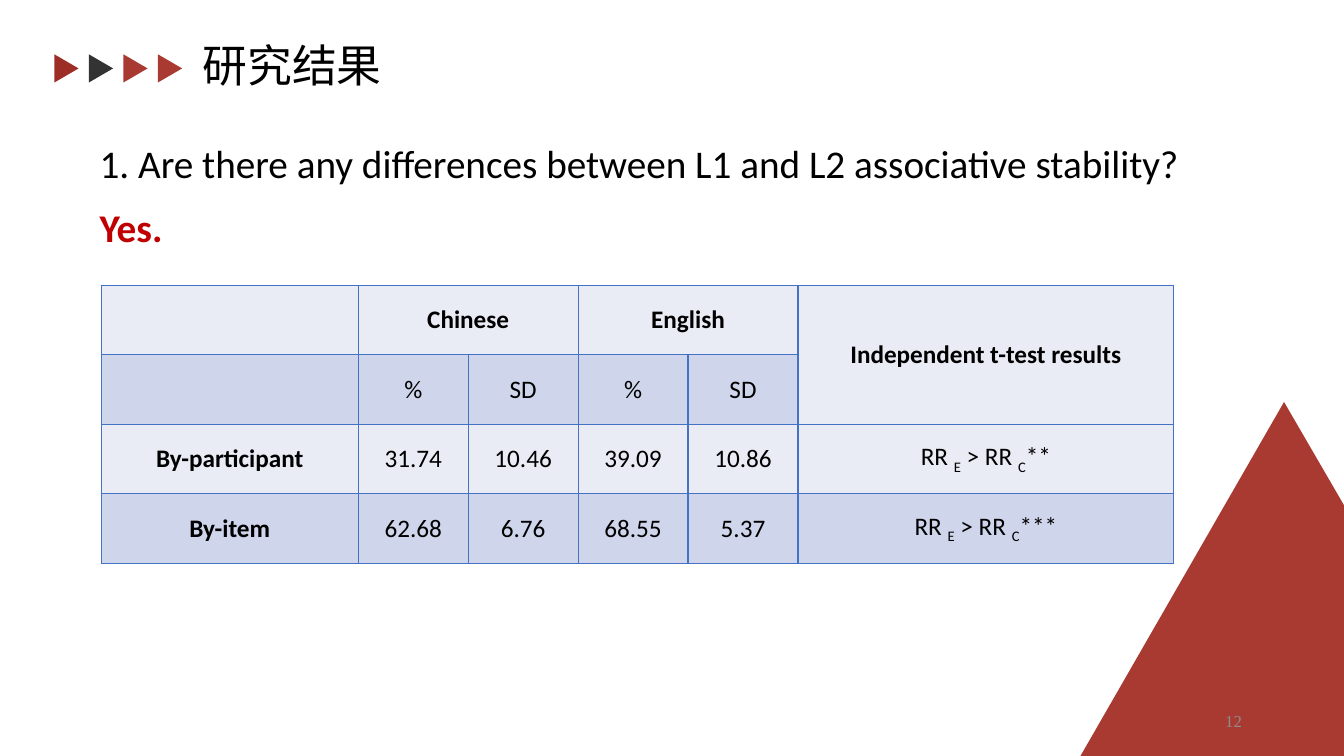
from dataclasses import dataclass

from pptx import Presentation
from pptx import util as u
from pptx.dml.color import RGBColor
from pptx.enum import shapes, text
from pptx.oxml import parse_xml
from pptx.oxml.ns import nsdecls, qn


@dataclass(frozen=True)
class Theme:
    red: str = "A93A32"
    deep_red: str = "9D2E25"
    charcoal: str = "333333"
    ink: str = "000000"
    answer: str = "C00000"
    muted: str = "8C8C8C"
    border: str = "4472C4"
    bands: tuple = ("E9EBF5", "CFD5EA")
    title_font: str = "Noto Sans CJK SC"
    body_font: str = "Calibri"
    number_font: str = "Times New Roman"
    title_size: int = 32
    body_size: int = 28
    table_size: int = 18
    number_size: int = 12


class SlideBuilder:
    def __init__(self, slide, theme):
        self.slide = slide
        self.theme = theme

    def place(self, item, left, top, width, height):
        item.left, item.top = u.Cm(left), u.Cm(top)
        item.width, item.height = u.Cm(width), u.Cm(height)

    def paint(self, shape, color):
        shape.shadow.inherit = False
        shape.fill.solid()
        shape.fill.fore_color.rgb = RGBColor.from_string(color)
        shape.line.fill.background()

    def run(self, paragraph, words, size, font, color=None, bold=False, baseline=0):
        run = paragraph.add_run()
        run.text = words
        run.font.size = u.Pt(size)
        run.font.name = font
        run.font.bold = bold
        run.font.color.rgb = RGBColor.from_string(color or self.theme.ink)
        properties = run._r.get_or_add_rPr()
        properties.append(parse_xml(f'<a:ea {nsdecls("a")} typeface="{font}"/>'))
        if baseline:
            properties.set("baseline", str(baseline * 1000))

    def title(self, words, *box):
        title = self.slide.shapes.title
        self.place(title, *box)
        frame = title.text_frame
        frame.word_wrap = True
        frame.auto_size = text.MSO_AUTO_SIZE.NONE
        frame.vertical_anchor = text.MSO_ANCHOR.MIDDLE
        heading = frame.paragraphs[0]
        heading.alignment = text.PP_ALIGN.LEFT
        heading.line_spacing = 0.9
        self.run(heading, words, self.theme.title_size, self.theme.title_font)

    def textbox(self, *box):
        frame = self.slide.shapes.add_textbox(*map(u.Cm, box)).text_frame
        frame.word_wrap = True
        return frame

    def arrow(self, color, *box):
        arrow = self.slide.shapes.add_shape(
            shapes.MSO_SHAPE.ISOSCELES_TRIANGLE, *map(u.Cm, box))
        arrow.rotation = 90
        self.paint(arrow, color)

    def outline(self, color, points):
        start, *rest = [(u.Cm(x), u.Cm(y)) for x, y in points]
        builder = self.slide.shapes.build_freeform(*start)
        builder.add_line_segments(rest, close=True)
        self.paint(builder.convert_to_shape(), color)

    def page_number(self, number, *box):
        frame = self.textbox(*box)
        frame.vertical_anchor = text.MSO_ANCHOR.MIDDLE
        frame.paragraphs[0].alignment = text.PP_ALIGN.RIGHT
        self.run(frame.paragraphs[0], number, self.theme.number_size,
                 self.theme.number_font, self.theme.muted)

    def question(self, asked, answer, *box):
        frame = self.textbox(*box)
        size, font = self.theme.body_size, self.theme.body_font
        first = frame.paragraphs[0]
        first.space_after = u.Pt(6)
        self.run(first, asked, size, font)
        second = frame.add_paragraph()
        second.space_before = second.space_after = u.Pt(6)
        self.run(second, answer, size, font, self.theme.answer, bold=True)

    def cell(self, cell, content, fill, bold):
        cell.margin_left = cell.margin_right = u.Cm(0.18)
        cell.margin_top = cell.margin_bottom = 0
        cell.vertical_anchor = text.MSO_ANCHOR.MIDDLE
        for side in ("lnL", "lnR", "lnT", "lnB"):
            cell._tc.get_or_add_tcPr().append(parse_xml(
                f'<a:{side} {nsdecls("a")} w="12700"><a:solidFill>'
                f'<a:srgbClr val="{self.theme.border}"/></a:solidFill></a:{side}>'))
        cell.fill.solid()
        cell.fill.fore_color.rgb = RGBColor.from_string(fill)
        paragraph = cell.text_frame.paragraphs[0]
        paragraph.alignment = text.PP_ALIGN.CENTER
        pieces = content if isinstance(content, tuple) else (content,)
        for index, words in enumerate(pieces):
            if words:
                self.run(paragraph, words, self.theme.table_size, self.theme.body_font,
                         bold=bold, baseline=-25 if index % 2 else 0)

    def table(self, rows, widths, row_height, left, top, merges):
        frame = self.slide.shapes.add_table(
            len(rows), len(widths), u.Cm(left), u.Cm(top),
            u.Cm(sum(widths)), u.Cm(row_height * len(rows)))
        table = frame.table
        table.first_row = table.horz_banding = False
        for column, width in zip(table.columns, widths):
            column.width = u.Cm(width)
        for r, row in enumerate(rows):
            table.rows[r].height = u.Cm(row_height)
            for c, content in enumerate(row):
                self.cell(table.cell(r, c), content, self.theme.bands[r % 2],
                          bold=r == 0 or c == 0)
        for first, last in merges:
            table.cell(*first).merge(table.cell(*last))


def main():
    deck = Presentation()
    deck.slide_width, deck.slide_height = u.Cm(33.87), u.Cm(19.05)
    theme = Theme()
    builder = SlideBuilder(deck.slides.add_slide(deck.slide_layouts[5]), theme)

    arrow_colors = (theme.deep_red, theme.charcoal, theme.red, theme.red)
    for index, color in enumerate(arrow_colors):
        builder.arrow(color, 1.32 + 0.87 * index, 1.42, 0.71, 0.61)
    builder.outline(theme.red, [(32.36, 10.13), (33.87, 12.73),
                                (33.87, 19.05), (27.23, 19.05)])
    builder.title("研究结果", 4.85, 0.91, 6.53, 1.6)
    builder.page_number("12", 23.93, 17.65, 7.62, 1.02)
    builder.question(
        "1. Are there any differences between L1 and L2 associative stability?",
        "Yes.", 2.26, 3.38, 28.52, 3.18)

    results = [
        ("", "Chinese", "", "English", "", "Independent t-test results"),
        ("", "%", "SD", "%", "SD", ""),
        ("By-participant", "31.74", "10.46", "39.09", "10.86",
         ("RR ", "E", " > RR ", "C", "**")),
        ("By-item", "62.68", "6.76", "68.55", "5.37",
         ("RR ", "E", " > RR ", "C", "***")),
    ]
    builder.table(results, [6.48, *[2.77] * 4, 9.47], 1.75, 2.55, 7.19,
                  merges=[((0, 1), (0, 2)), ((0, 3), (0, 4)), ((0, 5), (1, 5))])
    deck.save("out.pptx")


if __name__ == "__main__":
    main()
